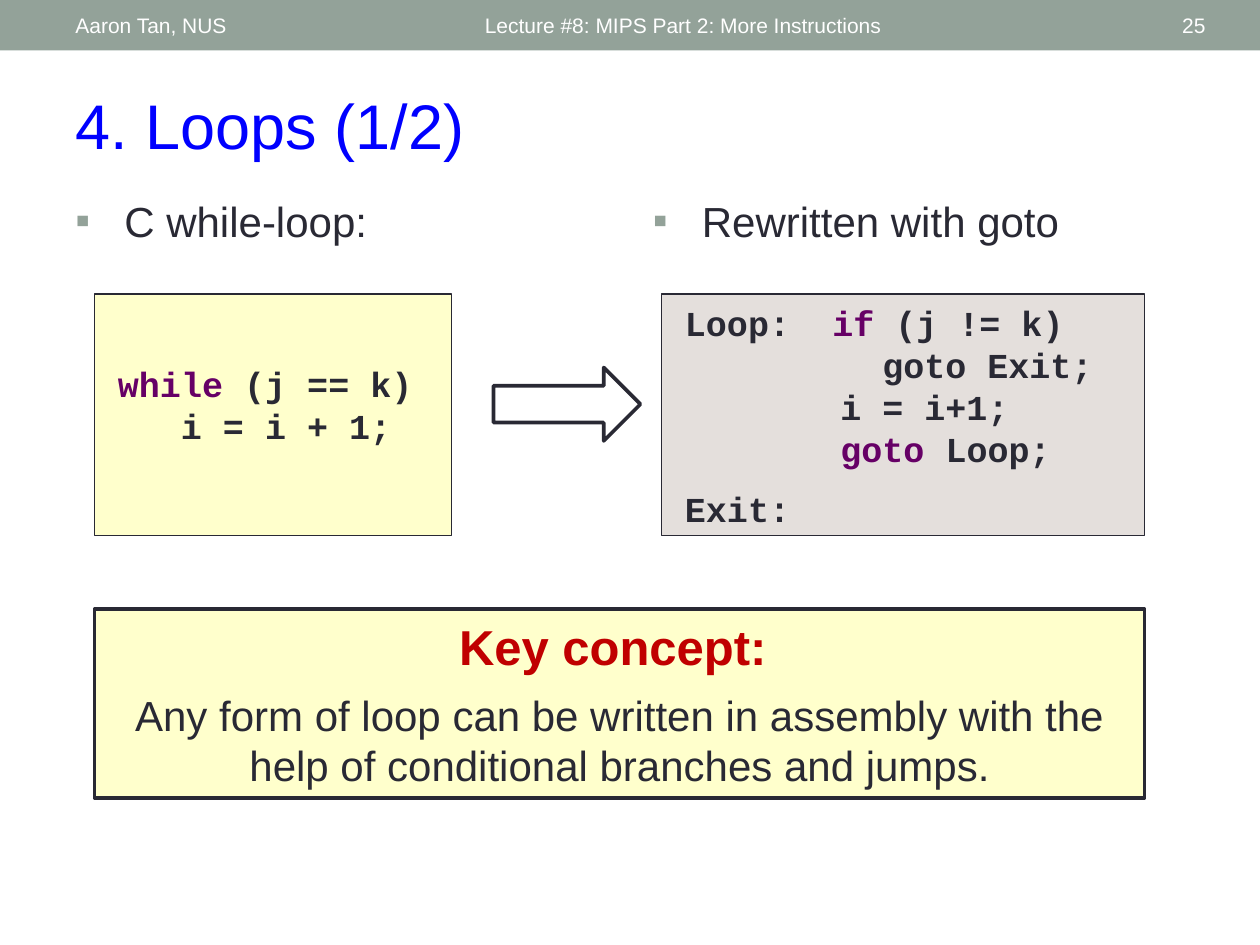
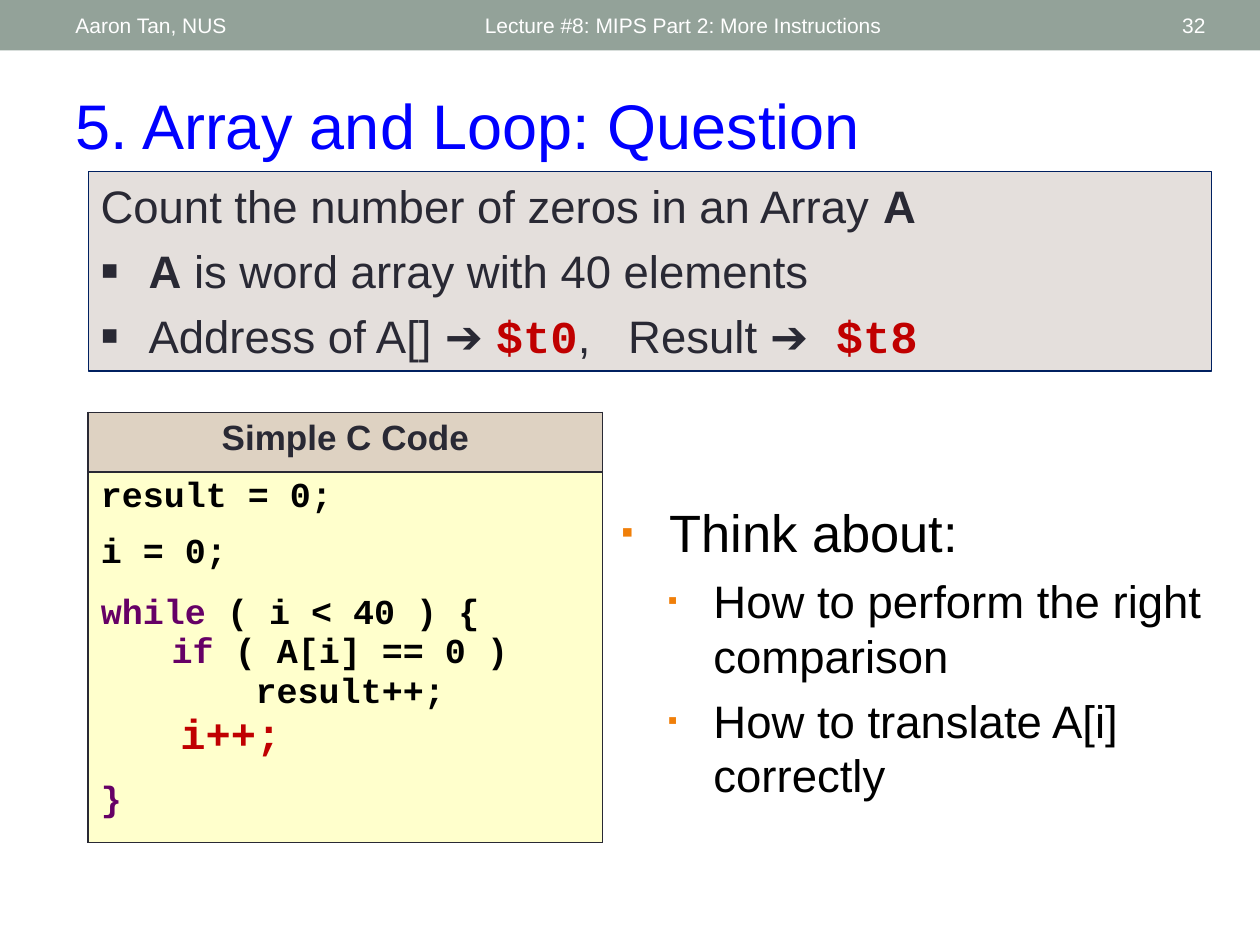
from lxml import etree
from pptx import Presentation
from pptx.dml.color import RGBColor
from pptx.enum import shapes, text
from pptx.oxml import ns
from pptx.util import Pt

# Shared colours and fonts
INK = RGBColor(0x29, 0x29, 0x34)
SAGE = RGBColor(0x93, 0xA2, 0x99)
BLUE = RGBColor(0x00, 0x00, 0xFF)
NAVY = RGBColor(0x00, 0x20, 0x60)
RED = RGBColor(0xC0, 0x00, 0x00)
PLUM = RGBColor(0x66, 0x00, 0x66)
CREAM = RGBColor(0xFF, 0xFF, 0xCC)
STONE = RGBColor(0xE4, 0xDF, 0xDC)
SAND = RGBColor(0xDE, 0xD2, 0xC2)
AMBER = RGBColor(0xF0, 0x7F, 0x09)
WHITE = RGBColor(0xFF, 0xFF, 0xFF)
BLACK = RGBColor(0x00, 0x00, 0x00)
SANS, MONO = "Arial", "Courier New"

RECT = shapes.MSO_SHAPE.RECTANGLE
ARROW = shapes.MSO_SHAPE.RIGHT_ARROW
TOP, MID = text.MSO_ANCHOR.TOP, text.MSO_ANCHOR.MIDDLE
LEFT, MIDST, RIGHT = (text.PP_ALIGN.LEFT, text.PP_ALIGN.CENTER,
                      text.PP_ALIGN.RIGHT)


# Text helpers
def run(words, size=20, color=INK, bold=False, font=SANS):
    return words, size, color, bold, font


def code(words, color=INK, size=20):
    return run(words, size, color, True, MONO)


def para(*runs, align=LEFT, gap=0, left=0, hang=0, mark=None, pitch=None):
    """mark is (colour, percent of text size) for a square bullet."""
    return runs, align, gap, left, hang, mark, pitch


def sub(node, tag, **attrs):
    return etree.SubElement(node, ns.qn("a:" + tag), attrs)


def paint(node, color):
    sub(sub(node, "solidFill"), "srgbClr", val=str(color))


def write(frame, paras):
    for i, (runs, align, gap, left, hang, mark, pitch) in enumerate(paras):
        p = frame.add_paragraph() if i else frame.paragraphs[0]
        p.alignment = align
        p.space_before = Pt(gap)
        if pitch:
            p.line_spacing = Pt(pitch)
        props = p._p.get_or_add_pPr()
        props.set("marL", str(int(Pt(left))))
        props.set("indent", str(int(Pt(-hang))))
        if mark:
            color, scale = mark
            sub(sub(props, "buClr"), "srgbClr", val=str(color))
            sub(props, "buSzPct", val=str(scale * 1000))
            sub(props, "buFont", typeface=SANS)
            sub(props, "buChar", char="\u25aa")
        for words, size, tint, bold, font in runs:
            r = p.add_run()
            r.text = words
            r.font.size, r.font.name, r.font.bold = Pt(size), font, bold
            r.font.color.rgb = tint


def fit(frame, anchor=TOP, inset=(7.2, 3.6)):
    frame.word_wrap = True
    frame.auto_size = text.MSO_AUTO_SIZE.NONE
    frame.vertical_anchor = anchor
    frame.margin_left = frame.margin_right = Pt(inset[0])
    frame.margin_top, frame.margin_bottom = Pt(inset[1]), Pt(3.6)


# Parts; each box is (left, top, width, height) in points
def label(slide, box, *paras, anchor=TOP):
    frame = slide.shapes.add_textbox(*map(Pt, box)).text_frame
    fit(frame, anchor)
    write(frame, paras)


def panel(slide, box, fill, *paras, line=INK, weight=0.75, kind=RECT,
          anchor=TOP, inset=(7.2, 3.6)):
    shape = slide.shapes.add_shape(kind, *map(Pt, box))
    shape.shadow.inherit = False
    shape.fill.solid()
    shape.fill.fore_color.rgb = fill
    if line is None:
        shape.line.fill.background()
    else:
        shape.line.color.rgb = line
        shape.line.width = Pt(weight)
    fit(shape.text_frame, anchor, inset)
    write(shape.text_frame, paras)


def frame_page(deck, title, number):
    """Slide with header band, its three labels and the title."""
    slide = deck.slides.add_slide(deck.slide_layouts[5])
    panel(slide, (0, 0, 720, 28.8), SAGE, line=None)
    for x, width, words, align in (
            (36, 228, "Aaron Tan, NUS", LEFT),
            (270, 324, "Lecture #8: MIPS Part 2: More Instructions", LEFT),
            (628, 68, str(number), RIGHT)):
        label(slide, (x, 1.5, width, 26),
              para(run(words, 12, WHITE), align=align), anchor=MID)
    head = slide.shapes.title
    head.left, head.top, head.width, head.height = map(Pt, (36, 46, 660, 51))
    fit(head.text_frame)
    write(head.text_frame, [para(run(title, 36, BLUE))])
    return slide


def code_box(slide, box, fill, top, lines):
    """Each line is (columns in, space before, runs)."""
    panel(slide, box, fill,
          *[para(*runs, left=12 * col, gap=gap, pitch=24)
            for col, gap, runs in lines], inset=(13.4, top))


def code_table(slide, box, head, lines):
    """One column: a heading row over a row of code."""
    x, y, width, height = box
    table = slide.shapes.add_table(2, 1, *map(Pt, box)).table
    table.rows[0].height, table.rows[1].height = Pt(34), Pt(height - 34)
    body = [para(*runs, left=left, gap=gap) for left, gap, runs in lines]
    title = [para(run(head, bold=True), align=MIDST)]
    for row, (fill, paras) in enumerate(((SAND, title), (CREAM, body))):
        cell = table.cell(row, 0)
        cell.vertical_anchor = TOP
        write(cell.text_frame, paras)
        props = cell._tc.get_or_add_tcPr()
        for side in ("lnL", "lnR", "lnT", "lnB"):
            paint(sub(props, side, w=str(int(Pt(1)))), INK)
        cell.fill.solid()
        cell.fill.fore_color.rgb = fill


# Slide: loops
def loops(deck):
    slide = frame_page(deck, "4. Loops (1/2)", 25)
    for x, words in ((36, "C while-loop:"), (366, "Rewritten with goto")):
        label(slide, (x, 108, 318, 40),
              para(run(words, 24), left=28, hang=28, mark=(SAGE, 100)))
    # Both forms of the loop, with an arrow between
    code_box(slide, (54, 168, 204, 138), CREAM, 39, [
        (0, 0, [code("while", PLUM), code(" (j == k)")]),
        (3, 0, [code("i = i + 1;")])])
    code_box(slide, (378, 168, 276, 138), STONE, 4.5, [
        (0, 0, [code("Loop:  "), code("if", PLUM), code(" (j != k)")]),
        (9.4, 0, [code("goto Exit;")]),
        (7.4, 0, [code("i = i+1;")]),
        (7.4, 0, [code("goto", PLUM), code(" Loop;")]),
        (0, 10, [code("Exit:")])])
    panel(slide, (282, 210, 84, 42), WHITE, weight=2.08, kind=ARROW)
    # Key concept
    panel(slide, (54, 348, 600, 108), CREAM,
          para(run("Key concept: ", 28, RED, True), align=MIDST),
          para(run("Any form of loop can be written in assembly with the "
                   "help of conditional branches and jumps.", 24),
               align=MIDST, gap=8),
          weight=2.08, anchor=MID)


# Slide: array question
def array(deck):
    slide = frame_page(deck, "5. Array and Loop: Question", 32)
    item = dict(left=27.4, hang=27.4, gap=6, mark=(INK, 120))
    panel(slide, (50.4, 98, 642, 114), STONE,
          para(run("Count the number of zeros in an Array ", 26),
               run("A", 26, bold=True)),
          para(run("A", 26, bold=True),
               run(" is word array with 40 elements", 26), **item),
          para(run("Address of A[] \u2794 ", 26), code("$t0", RED, 26),
               run(",   Result \u2794", 26), code(" $t8", RED, 26), **item),
          line=NAVY)
    # C code
    code_table(slide, (50.4, 235.6, 294, 246), "Simple C Code", [
        (0, 0, [code("result = 0;", BLACK)]),
        (0, 9.5, [code("i = 0;", BLACK)]),
        (0, 12, [code("while ", PLUM), code("( i < 40 ) {", BLACK)]),
        (40.5, 0, [code("if", PLUM), code(" ( A[i] == 0 )", BLACK)]),
        (88.5, 0, [code("result++;", BLACK)]),
        (45.5, 0, [code("i++;", RED, 24)]),
        (0, 12, [code("}", PLUM)])])
    # Hints
    hint = dict(left=52.6, hang=26, gap=6, mark=(AMBER, 60))
    label(slide, (348, 282, 354, 198),
          para(run("Think about:", 30, BLACK), left=27.4, hang=27.4,
               mark=(AMBER, 65)),
          *[para(run(words, 26, BLACK), **hint) for words in (
              "How to perform the right comparison",
              "How to translate A[i] correctly")])


deck = Presentation()
deck.slide_width, deck.slide_height = Pt(720), Pt(540)
loops(deck)
array(deck)
deck.save("out.pptx")
